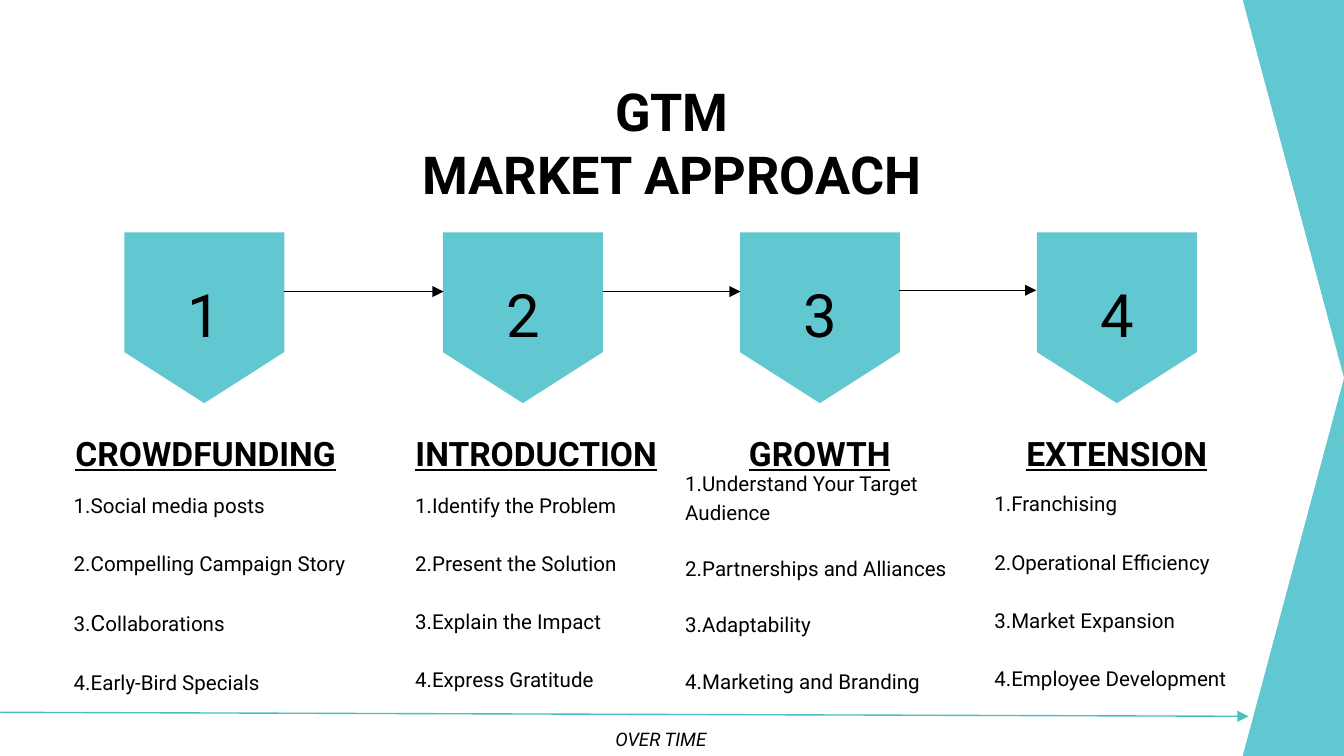
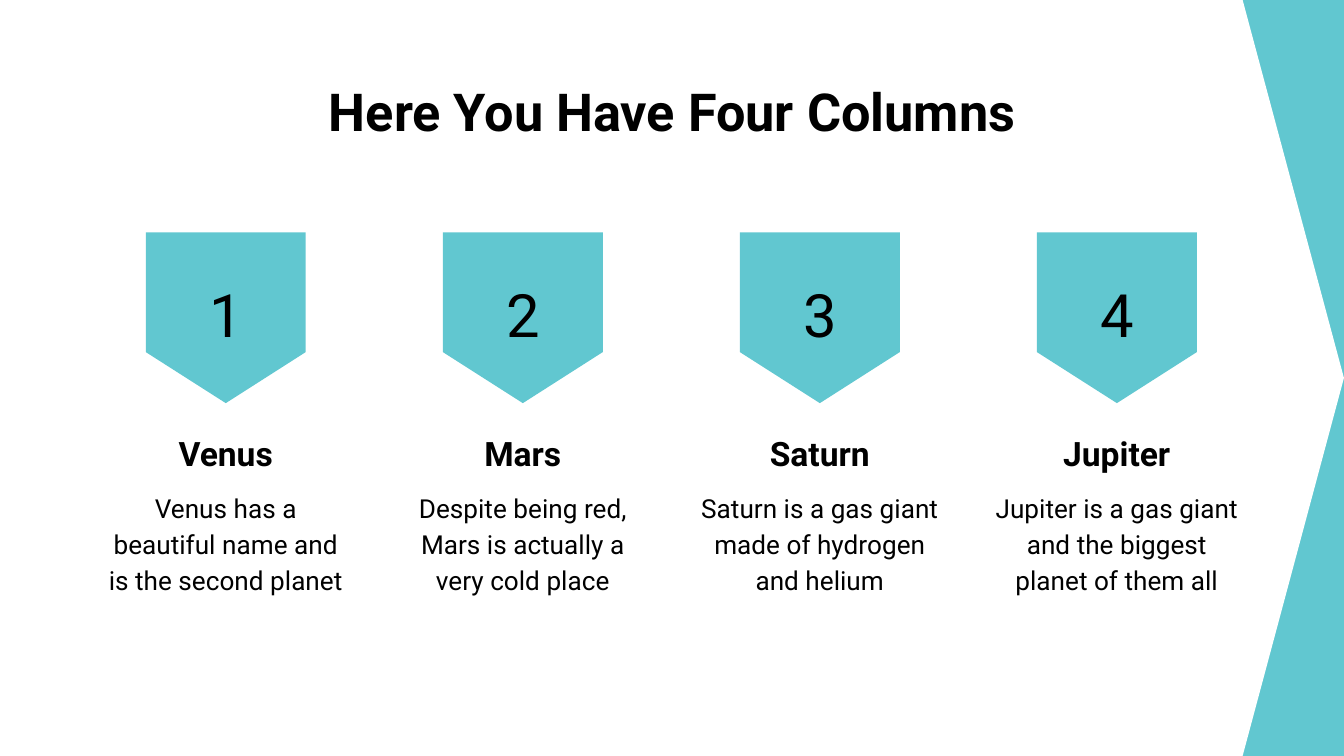
from dataclasses import dataclass

from lxml import etree
from pptx import Presentation
from pptx.dml.color import RGBColor
from pptx.enum.shapes import MSO_CONNECTOR, MSO_SHAPE
from pptx.enum.text import MSO_ANCHOR, PP_ALIGN
from pptx.oxml.ns import qn
from pptx.util import Inches, Pt

TEAL = RGBColor(0x61, 0xC7, 0xD0)
TIMELINE = RGBColor(0x48, 0xBF, 0xBF)
BLACK = RGBColor(0, 0, 0)
WHITE = RGBColor(0xFF, 0xFF, 0xFF)
FONT = "Roboto"

SLIDE_W, SLIDE_H = 10, 5.625
CENTERS = [1.68 + 2.21 * i for i in range(4)]
BADGE_TOP, BADGE_W, BADGE_H = 1.73, 1.19, 1.27
NUMBER_TOP, NUMBER_SIZE = 2.04, 0.58
HEADING_TOP, HEADING_W, HEADING_H = 3.08, 1.8, 0.63
BODY_TOP, BODY_W, BODY_H = 3.53, 2.03, 1.04


@dataclass
class Step:
    heading: str
    items: list
    body_box: tuple
    gap: int = 16
    heading_w: float = HEADING_W
    shift: float = 0
    heading_shift: float = 0


STEPS = [
    Step("CROWDFUNDING",
         ["1.Social media posts", "2.Compelling Campaign Story",
          [("3.", 11), ("C", 12), ("ollaborations", 11)],
          "4.Early-Bird Specials"],
         (0.45, 3.54, 2.62, 1.27), heading_w=2.15, shift=-0.16,
         heading_shift=-0.15),
    Step("INTRODUCTION",
         ["1.Identify the Problem", "2.Present the Solution",
          "3.Explain the Impact", "4.Express Gratitude"],
         (2.99, 3.54, 2.03, 1.04), heading_w=2.02, heading_shift=0.1),
    Step("GROWTH",
         ["1.Understand Your Target Audience", "2.Partnerships and Alliances",
          "3.Adaptability", "4.Marketing and Branding"],
         (5, 3.38, 2.4, 1.79), gap=15),
    Step("EXTENSION",
         ["1.Franchising", "2.Operational Efficiency",
          "3.Market Expansion", "4.Employee Development"],
         (7.3, 3.53, 2.03, 1.04)),
]

PLANETS = [
    ("Venus", "Venus has a beautiful name and is the second planet"),
    ("Mars", "Despite being red, Mars is actually a very cold place"),
    ("Saturn", "Saturn is a gas giant made of hydrogen and helium"),
    ("Jupiter", "Jupiter is a gas giant and the biggest planet of them all"),
]

ARROWS = [
    ((2.11, 2.17), (3.3, 2.17)),
    ((4.49, 2.17), (5.51, 2.17)),
    ((6.69, 2.16), (7.71, 2.16)),
]


def add_text(slide, box, paragraphs, size, align=PP_ALIGN.LEFT, bold=False,
             italic=False, underline=False, spacing=1.0, gap=0,
             anchor=MSO_ANCHOR.TOP):
    """Each paragraph is a string or a list of (text, size) runs."""
    tf = slide.shapes.add_textbox(*map(Inches, box)).text_frame
    tf.word_wrap = True
    tf.vertical_anchor = anchor
    tf.margin_left = tf.margin_right = Inches(0.1)
    tf.margin_top = tf.margin_bottom = Inches(0.1)
    for i, content in enumerate(paragraphs):
        p = tf.add_paragraph() if i else tf.paragraphs[0]
        p.alignment = align
        p.line_spacing = spacing
        if i and gap:
            p.space_before = Pt(gap)
        runs = [(content, size)] if isinstance(content, str) else content
        for text, run_size in runs:
            r = p.add_run()
            r.text = text
            font = r.font
            font.name, font.size = FONT, Pt(run_size)
            font.bold, font.italic, font.underline = bold, italic, underline
            font.color.rgb = BLACK


def add_pentagon(slide, box, color, point, rotation=0):
    sp = slide.shapes.add_shape(MSO_SHAPE.PENTAGON, *map(Inches, box))
    sp.shadow.inherit = False
    sp.adjustments[0] = point
    sp.rotation = rotation
    sp.fill.solid()
    sp.fill.fore_color.rgb = color
    sp.line.fill.background()


def add_arrow(slide, start, end, color):
    line = slide.shapes.add_connector(
        MSO_CONNECTOR.STRAIGHT, *map(Inches, (*start, *end)))
    line.line.color.rgb = color
    line.line.width = Pt(0.75)
    ln = line.line._get_or_add_ln()
    etree.SubElement(ln, qn("a:tailEnd"), type="triangle")
    etree.SubElement(line._element.spPr, qn("a:effectLst"))


def centered_box(center, top, width, height):
    return center - width / 2, top, width, height


def add_badge(slide, center, number):
    """Pentagon pointing down, with its number."""
    # Turned a quarter, so the frame's sides are swapped about its middle.
    top = BADGE_TOP + (BADGE_H - BADGE_W) / 2
    add_pentagon(slide, centered_box(center, top, BADGE_H, BADGE_W),
                 TEAL, 0.319, rotation=90)
    add_text(slide, centered_box(center, NUMBER_TOP, NUMBER_SIZE, NUMBER_SIZE),
             [str(number)], 32, align=PP_ALIGN.CENTER,
             anchor=MSO_ANCHOR.MIDDLE)


def add_heading(slide, center, text, width=HEADING_W, underline=False):
    add_text(slide, centered_box(center, HEADING_TOP, width, HEADING_H),
             [text], 18, align=PP_ALIGN.CENTER, bold=True,
             underline=underline, spacing=1.15)


def add_base_slide(prs, title_lines):
    slide = prs.slides.add_slide(prs.slide_layouts[6])
    slide.background.fill.solid()
    slide.background.fill.fore_color.rgb = TEAL
    add_pentagon(slide, (0, 0, SLIDE_W, SLIDE_H), WHITE, 0.134)
    add_text(slide, (0.78, 0.49, 8.44, 0.63), title_lines, 28,
             align=PP_ALIGN.CENTER, bold=True)
    return slide


def add_market_slide(prs):
    slide = add_base_slide(prs, ["GTM", "MARKET APPROACH"])
    for number, (center, step) in enumerate(zip(CENTERS, STEPS), 1):
        add_badge(slide, center + step.shift, number)
        add_heading(slide, center + step.heading_shift, step.heading,
                    width=step.heading_w, underline=True)
        add_text(slide, step.body_box, step.items, 11, spacing=1.15,
                 gap=step.gap)
    for start, end in ARROWS:
        add_arrow(slide, start, end, BLACK)
    add_text(slide, (4.48, 5.33, 1.42, 0.25), ["OVER TIME"], 10, italic=True)
    add_arrow(slide, (0, 5.3), (9.29, 5.33), TIMELINE)


def add_planets_slide(prs):
    slide = add_base_slide(prs, ["Here You Have Four Columns"])
    for number, (center, planet) in enumerate(zip(CENTERS, PLANETS), 1):
        name, description = planet
        add_badge(slide, center, number)
        add_heading(slide, center, name)
        add_text(slide, centered_box(center, BODY_TOP, BODY_W, BODY_H),
                 [description], 14, align=PP_ALIGN.CENTER, spacing=1.15)


def main():
    prs = Presentation()
    prs.slide_width, prs.slide_height = Inches(SLIDE_W), Inches(SLIDE_H)
    add_market_slide(prs)
    add_planets_slide(prs)
    prs.save("out.pptx")


if __name__ == "__main__":
    main()
